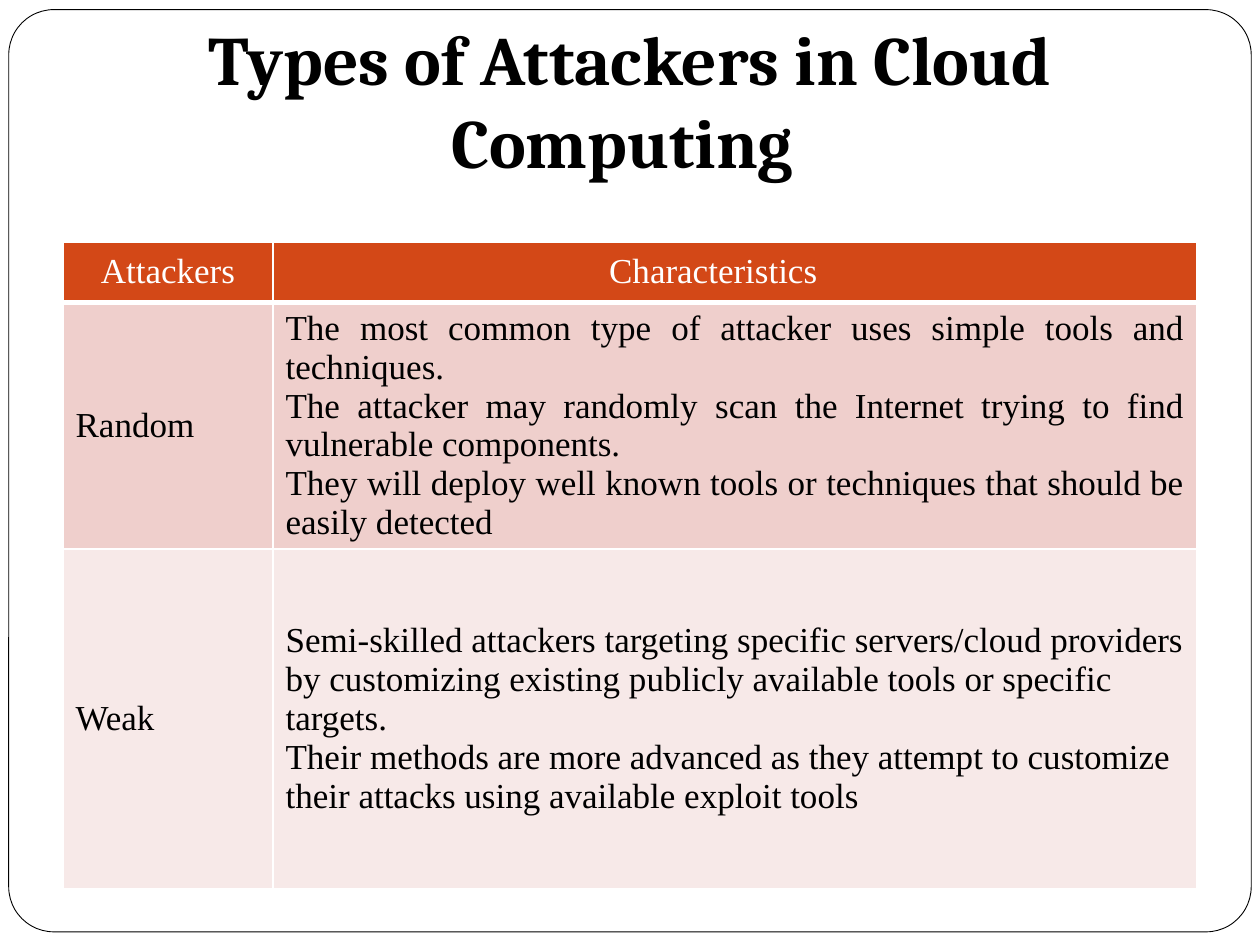
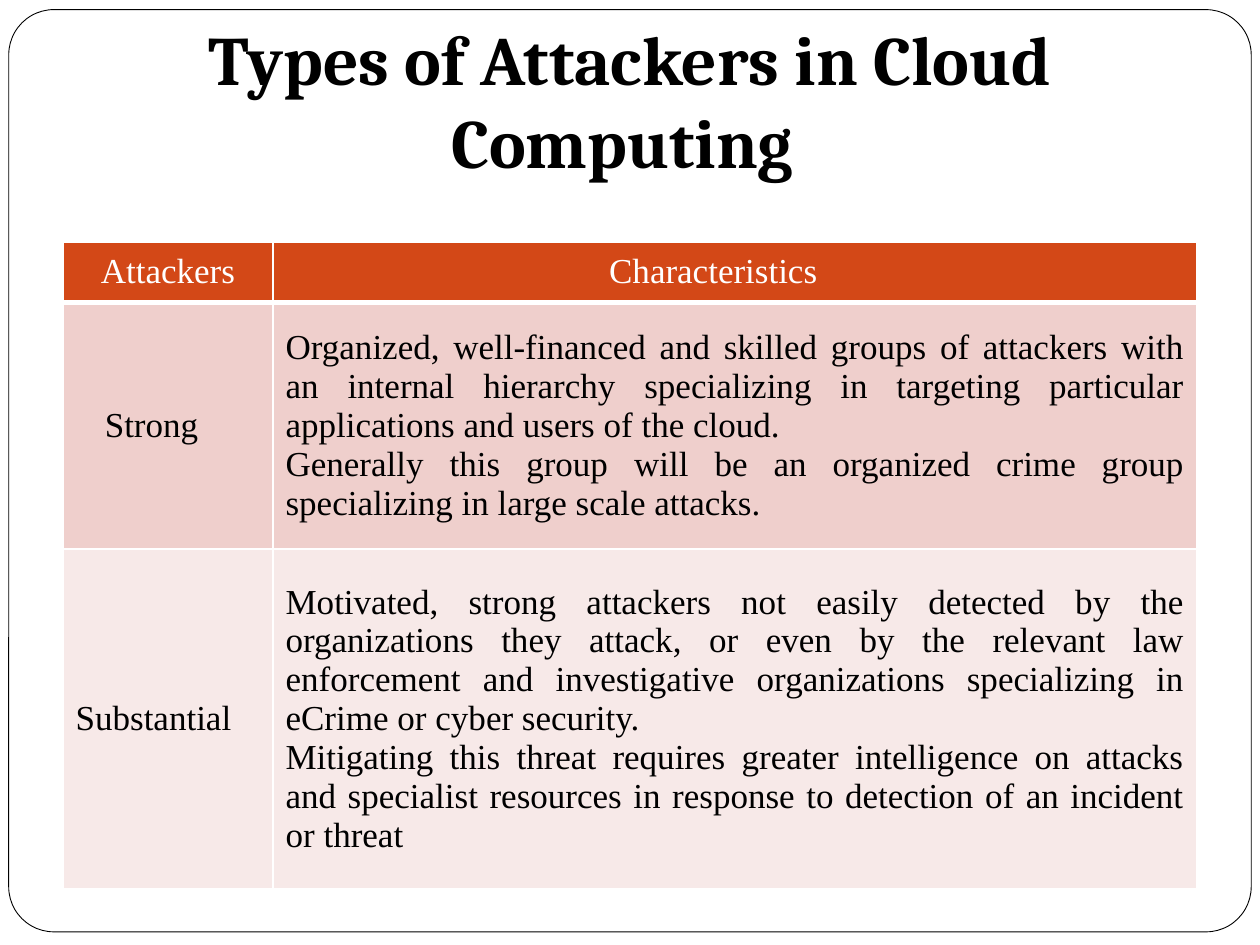
from lxml import etree
from pptx import Presentation
from pptx.dml.color import RGBColor
from pptx.enum.shapes import MSO_SHAPE
from pptx.enum.text import MSO_ANCHOR, MSO_AUTO_SIZE, PP_ALIGN
from pptx.oxml.ns import qn
from pptx.util import Pt

BLACK = RGBColor(0x00, 0x00, 0x00)
WHITE = RGBColor(0xFF, 0xFF, 0xFF)
ORANGE = RGBColor(0xD3, 0x48, 0x17)
PINK = RGBColor(0xEF, 0xCF, 0xCC)
PALE_PINK = RGBColor(0xF7, 0xE9, 0xE8)

LEFT, CENTER, JUSTIFY = PP_ALIGN.LEFT, PP_ALIGN.CENTER, PP_ALIGN.JUSTIFY
MIDDLE, BOTTOM = MSO_ANCHOR.MIDDLE, MSO_ANCHOR.BOTTOM
ROUND_RECT = MSO_SHAPE.ROUNDED_RECTANGLE
NO_AUTOFIT = MSO_AUTO_SIZE.NONE

TITLE = "Types of Attackers in Cloud Computing "
COLUMN_WIDTHS = (120, 528)
ROW_HEIGHTS = (34.5, 141, 194)
ROW_FILLS = (ORANGE, PINK, PALE_PINK)
MARGIN = 7.2

# Each cell: paragraphs, alignment, right margin in points
HEADER = ((["Attackers"], CENTER, MARGIN), (["Characteristics"], CENTER, 32))
RANDOM_AND_WEAK = (
    ((["Random"], LEFT, MARGIN),
     (["The most common type of attacker uses simple tools and techniques.",
       "The attacker may randomly scan the Internet trying to find vulnerable "
       "components.",
       "They will deploy well known tools or techniques that should be easily "
       "detected"], JUSTIFY, MARGIN)),
    ((["Weak"], LEFT, MARGIN),
     (["Semi-skilled attackers targeting specific servers/cloud providers by "
       "customizing existing publicly available tools or specific targets.",
       "Their methods are more advanced as they attempt to customize their "
       "attacks using available exploit tools"], LEFT, MARGIN)),
)
STRONG_AND_SUBSTANTIAL = (
    ((["Strong"], CENTER, 26),
     (["Organized, well-financed and skilled groups of attackers with an "
       "internal hierarchy specializing in targeting particular applications "
       "and users of the cloud.",
       "Generally this group will be an organized crime group specializing in "
       "large scale attacks."], JUSTIFY, MARGIN)),
    ((["Substantial"], LEFT, MARGIN),
     (["Motivated, strong attackers not easily detected by the organizations "
       "they attack, or even by the relevant law enforcement and investigative "
       "organizations specializing in eCrime or cyber security.",
       "Mitigating this threat requires greater intelligence on attacks and "
       "specialist resources in response to detection of an incident or "
       "threat"], JUSTIFY, MARGIN)),
)


def write(tf, paragraphs, font="Times New Roman", size=20, color=BLACK,
          bold=False, align=LEFT):
    for i, text in enumerate(paragraphs):
        p = tf.paragraphs[0] if i == 0 else tf.add_paragraph()
        p.alignment = align
        r = p.add_run()
        r.text = text
        r.font.name, r.font.size, r.font.bold = font, Pt(size), bold
        r.font.color.rgb = color


def add_title(s, text):
    title = s.shapes.title
    title.left, title.top = Pt(36), Pt(21.6)
    title.width, title.height = Pt(648), Pt(90)
    tf = title.text_frame
    tf.word_wrap, tf.auto_size = True, NO_AUTOFIT
    tf.vertical_anchor = BOTTOM
    tf.margin_bottom = Pt(7.2)
    write(tf, [text], font="Cambria", size=39.6, bold=True, align=CENTER)


def add_frame(s):
    frame = s.shapes.add_shape(ROUND_RECT, Pt(5), Pt(5.5), Pt(710), Pt(527))
    frame.adjustments[0] = 0.049
    frame.shadow.inherit = False
    frame.fill.solid()
    frame.fill.fore_color.rgb = WHITE
    frame.line.color.rgb = BLACK
    frame.line.width = Pt(0.5)
    # The frame lies behind the title
    s.shapes.title.element.addprevious(frame.element)


def set_borders(cell, top, bottom):
    tcPr = cell._tc.get_or_add_tcPr()
    widths = {"a:lnL": 1, "a:lnR": 1, "a:lnT": top, "a:lnB": bottom}
    for i, (tag, width) in enumerate(widths.items()):
        ln = etree.Element(qn(tag), w=str(Pt(width)))
        fill = etree.SubElement(ln, qn("a:solidFill"))
        etree.SubElement(fill, qn("a:srgbClr"), val=str(WHITE))
        tcPr.insert(i, ln)


def add_attacker_table(s, rows):
    table = s.shapes.add_table(
        len(rows), len(COLUMN_WIDTHS), Pt(36), Pt(138.2),
        Pt(sum(COLUMN_WIDTHS)), Pt(sum(ROW_HEIGHTS))).table
    for column, width in zip(table.columns, COLUMN_WIDTHS):
        column.width = Pt(width)
    for i, row in enumerate(rows):
        table.rows[i].height = Pt(ROW_HEIGHTS[i])
        for j, (paragraphs, align, right) in enumerate(row):
            cell = table.cell(i, j)
            cell.fill.solid()
            cell.fill.fore_color.rgb = ROW_FILLS[i]
            cell.vertical_anchor = MIDDLE
            cell.margin_right = Pt(right)
            # A thick rule parts the header from the body
            set_borders(cell, top=3 if i == 1 else 1, bottom=3 if i == 0 else 1)
            write(cell.text_frame, paragraphs, align=align,
                  color=WHITE if i == 0 else BLACK)


def main():
    prs = Presentation()
    prs.slide_width, prs.slide_height = Pt(720), Pt(540)
    for body in (RANDOM_AND_WEAK, STRONG_AND_SUBSTANTIAL):
        s = prs.slides.add_slide(prs.slide_layouts[5])
        add_title(s, TITLE)
        add_frame(s)
        add_attacker_table(s, (HEADER, *body))
    prs.save("out.pptx")


if __name__ == "__main__":
    main()
